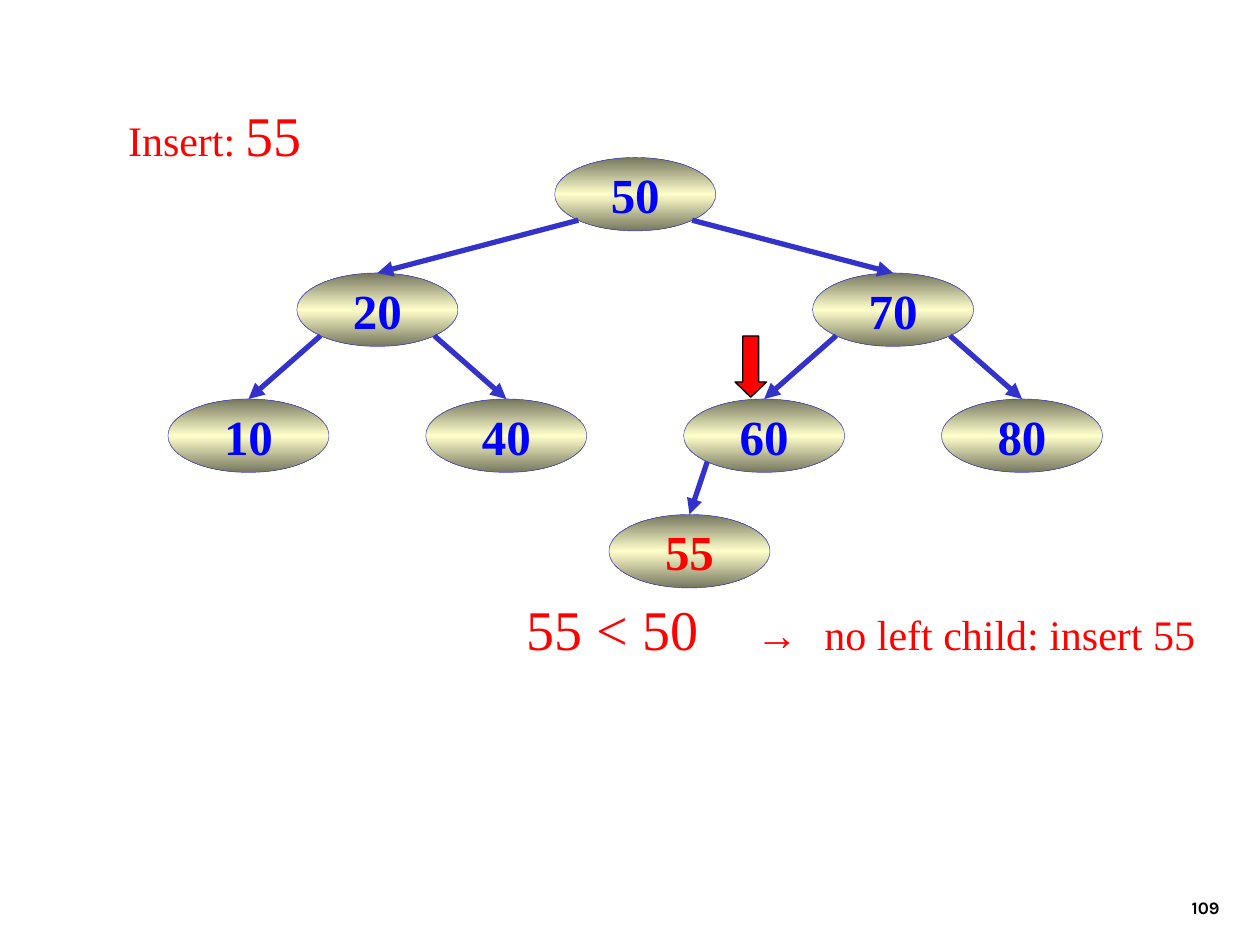
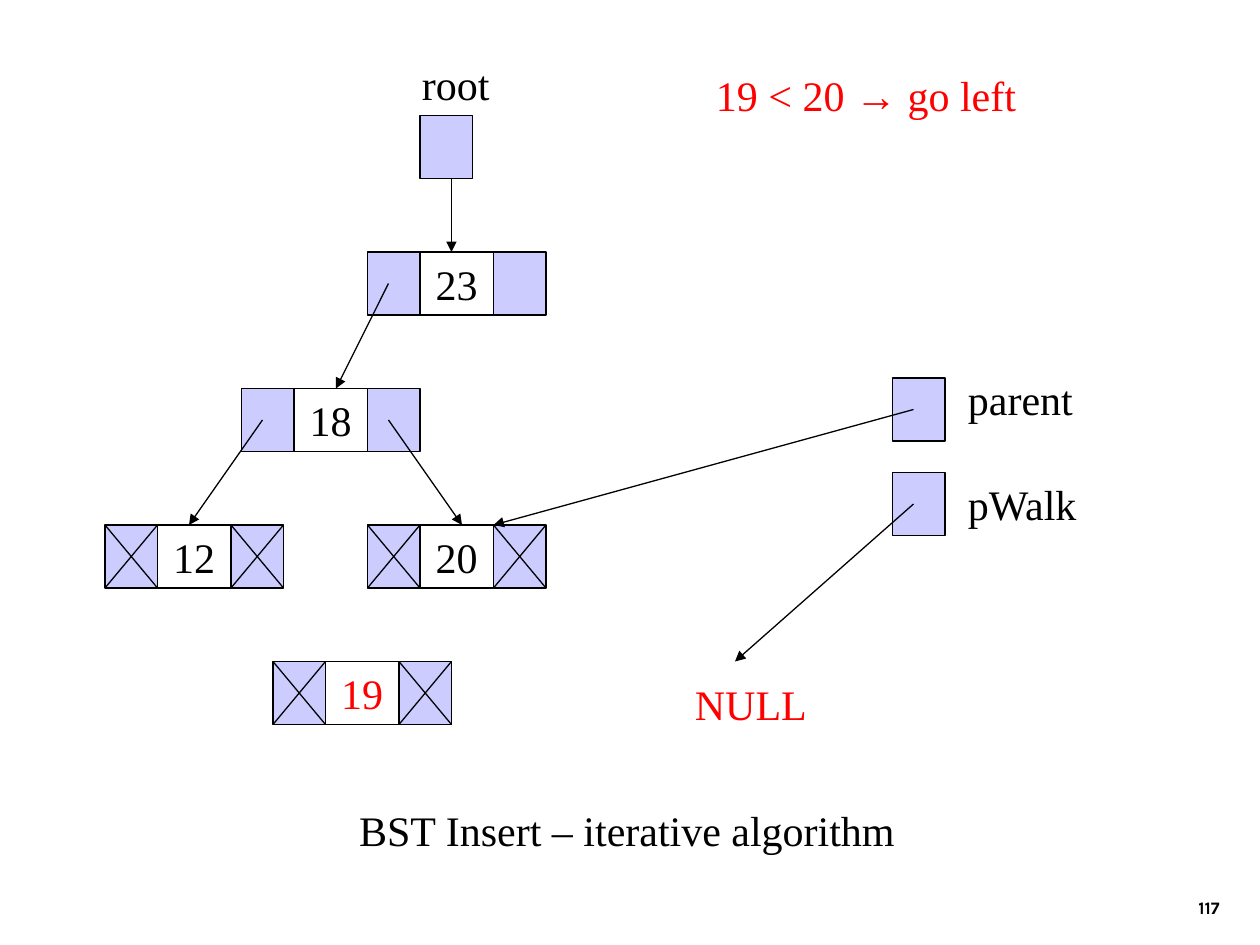
from copy import deepcopy

from lxml import etree
from pptx import Presentation
from pptx.dml.color import RGBColor
from pptx.enum import shapes, text
from pptx.oxml import ns
from pptx.util import Pt

RED, BLACK, WHITE = "FF0000", "000000", "FFFFFF"
BLUE, EDGE, LILAC = "0000FF", "3333CC", "CCCCFF"
OLIVE, CREAM = "76765E", "FFFFCC"
SERIF, SANS, FOOT = "Times New Roman", "Arial", "Karla"
OVAL_W, OVAL_H = 92, 42
LINK_W, KEY_W, CELL_H = 30, 42, 36
DIAG = 0.3536


def paint(color, code):
    color.rgb = RGBColor.from_string(code)


def style(font, size, face, code, bold=False):
    font.size, font.name, font.bold = Pt(size), face, bold
    paint(font.color, code)


def write(shape, runs, code, bold=False, align=text.PP_ALIGN.LEFT,
          anchor=text.MSO_ANCHOR.TOP, wrap=True, tabs=()):
    frame = shape.text_frame
    frame.word_wrap = wrap
    frame.auto_size = text.MSO_AUTO_SIZE.NONE
    frame.vertical_anchor = anchor
    para = frame.paragraphs[0]
    para.alignment = align
    if tabs:
        stops = etree.SubElement(para._p.get_or_add_pPr(), ns.qn("a:tabLst"))
        for pos in tabs:
            etree.SubElement(stops, ns.qn("a:tab"), pos=str(Pt(pos)), algn="l")
    for words, size, face in runs:
        run = para.add_run()
        run.text = words
        font = para.font if len(runs) == 1 else run.font
        style(font, size, face, code, bold)


def place(shape, box):
    shape.left, shape.top, shape.width, shape.height = map(Pt, box)


def label(slide, box, runs, code=BLACK, **opts):
    area = slide.shapes.add_textbox(*map(Pt, box))
    write(area, runs, code, **opts)


def word(slide, x, y, width, words, code=BLACK):
    label(slide, (x, y, width, 36), [(words, 24, SERIF)], code)


def head(slide, box, runs, code):
    title = slide.shapes.title
    place(title, box)
    write(title, runs, code)


def number(slide, words):
    label(slide, (554, 492, 150, 36), [(words, 10, FOOT)], bold=True,
          align=text.PP_ALIGN.RIGHT, anchor=text.MSO_ANCHOR.BOTTOM)


def outline(shape, code, width):
    shape.shadow.inherit = False
    paint(shape.line.color, code)
    shape.line.width = Pt(width)


def solid(slide, kind, box, fill):
    shape = slide.shapes.add_shape(kind, *map(Pt, box))
    shape.fill.solid()
    paint(shape.fill.fore_color, fill)
    outline(shape, BLACK, 0.75)
    return shape


def center(shape, words, size, code, bold=False):
    write(shape, [(words, size, SERIF)], code, bold, text.PP_ALIGN.CENTER,
          text.MSO_ANCHOR.MIDDLE, False)


def line(slide, start, end, code=BLACK, width=0.75, tip=True):
    link = slide.shapes.add_connector(
        shapes.MSO_CONNECTOR.STRAIGHT, *map(Pt, (*start, *end)))
    paint(link.line.color, code)
    link.line.width = Pt(width)
    if tip:
        etree.SubElement(link.line._get_or_add_ln(), ns.qn("a:tailEnd"),
                         type="triangle")
    etree.SubElement(link._element.spPr, ns.qn("a:effectLst"))
    return link


def oval(slide, x, y, words, code):
    shape = slide.shapes.add_shape(
        shapes.MSO_SHAPE.OVAL,
        *map(Pt, (x - OVAL_W / 2, y, OVAL_W, OVAL_H)))
    shape.fill.gradient()
    shape.fill.gradient_angle = 90
    marks = shape._element.spPr.find(".//" + ns.qn("a:gsLst"))
    marks.append(deepcopy(marks[0]))
    tones = (OLIVE, 0), (CREAM, 0.5), (OLIVE, 1)
    for stop, (tone, pos) in zip(shape.fill.gradient_stops, tones):
        paint(stop.color, tone)
        stop.position = pos
    outline(shape, EDGE, 0.25)
    center(shape, words, 28, code, True)
    return shape


def branch(slide, spots, ovals, top, low):
    (x, y), goal = spots[top], spots[low]
    side = 1 if goal[0] > x else -1
    start = x + side * DIAG * OVAL_W, y + (0.5 + DIAG) * OVAL_H
    link = line(slide, start, goal, EDGE, 3)
    link.end_connect(ovals[low], 0)


def cell(slide, x, y, width=LINK_W, fill=LILAC):
    return solid(slide, shapes.MSO_SHAPE.RECTANGLE,
                 (x, y, width, CELL_H), fill)


def node(slide, x, y, key, code=BLACK, leaf=False):
    for left in (x, x + LINK_W + KEY_W):
        cell(slide, left, y)
        if leaf:
            right, base = left + LINK_W, y + CELL_H
            line(slide, (left, y), (right, base), tip=False)
            line(slide, (right, y), (left, base), tip=False)
    center(cell(slide, x + LINK_W, y, KEY_W, WHITE), key, 24, code)


def tree(slide):
    head(slide, (66, 54, 138, 46),
         [("Insert: ", 24, SERIF), ("55", 32, SERIF)], RED)
    label(slide, (294, 336, 402, 46),
          [("55 < 50", 32, SERIF), ("\t→\t", 24, SANS),
           ("no left child: insert 55", 24, SERIF)], RED, tabs=(131, 170))
    mark = solid(slide, shapes.MSO_SHAPE.DOWN_ARROW, (420, 192, 18, 35), RED)
    mark.adjustments[1] = 0.485

    rows = {"10": 228, "20": 156, "40": 228, "50": 90,
            "60": 228, "70": 156, "80": 228}
    spots = {key: (142 + 73.67 * rank, y)
             for rank, (key, y) in enumerate(rows.items())}
    spots["55"] = 394, 294
    ovals = {key: oval(slide, x, y, key, RED if key == "55" else BLUE)
             for key, (x, y) in spots.items()}
    for top, lows in {"50": ("20", "70"), "20": ("10", "40"),
                      "70": ("60", "80"), "60": ("55",)}.items():
        for low in lows:
            branch(slide, spots, ovals, top, low)
    number(slide, "109")


def walk(slide):
    head(slide, (198, 456, 342, 36),
         [("BST Insert – iterative algorithm", 24, SERIF)], BLACK)
    label(slide, (402, 36, 222, 36),
          [("19 < 20 ", 24, SERIF), ("→", 24, SANS),
           (" go left", 24, SERIF)], RED)
    word(slide, 234, 30, 60, "root")
    word(slide, 546, 210, 84, "parent")
    word(slide, 546, 270, 84, "pWalk")
    word(slide, 390, 384, 90, "NULL", RED)

    line(slide, (258, 84), (258, 144))
    for x, y in ((240, 66), (510, 216), (510, 270)):
        cell(slide, x, y)
    node(slide, 210, 144, "23")
    node(slide, 138, 222, "18")
    node(slide, 60, 300, "12", leaf=True)
    node(slide, 210, 300, "20", leaf=True)
    node(slide, 156, 378, "19", RED, True)
    for start, end in (((222, 162), (192, 222)), ((150, 240), (108, 300)),
                       ((222, 240), (264, 300)), ((522, 234), (282, 300)),
                       ((522, 288), (420, 378))):
        line(slide, start, end)
    number(slide, "117")


def main():
    deck = Presentation()
    deck.slide_width, deck.slide_height = Pt(720), Pt(540)
    for draw in (tree, walk):
        draw(deck.slides.add_slide(deck.slide_layouts[5]))
    deck.save("out.pptx")


if __name__ == "__main__":
    main()
